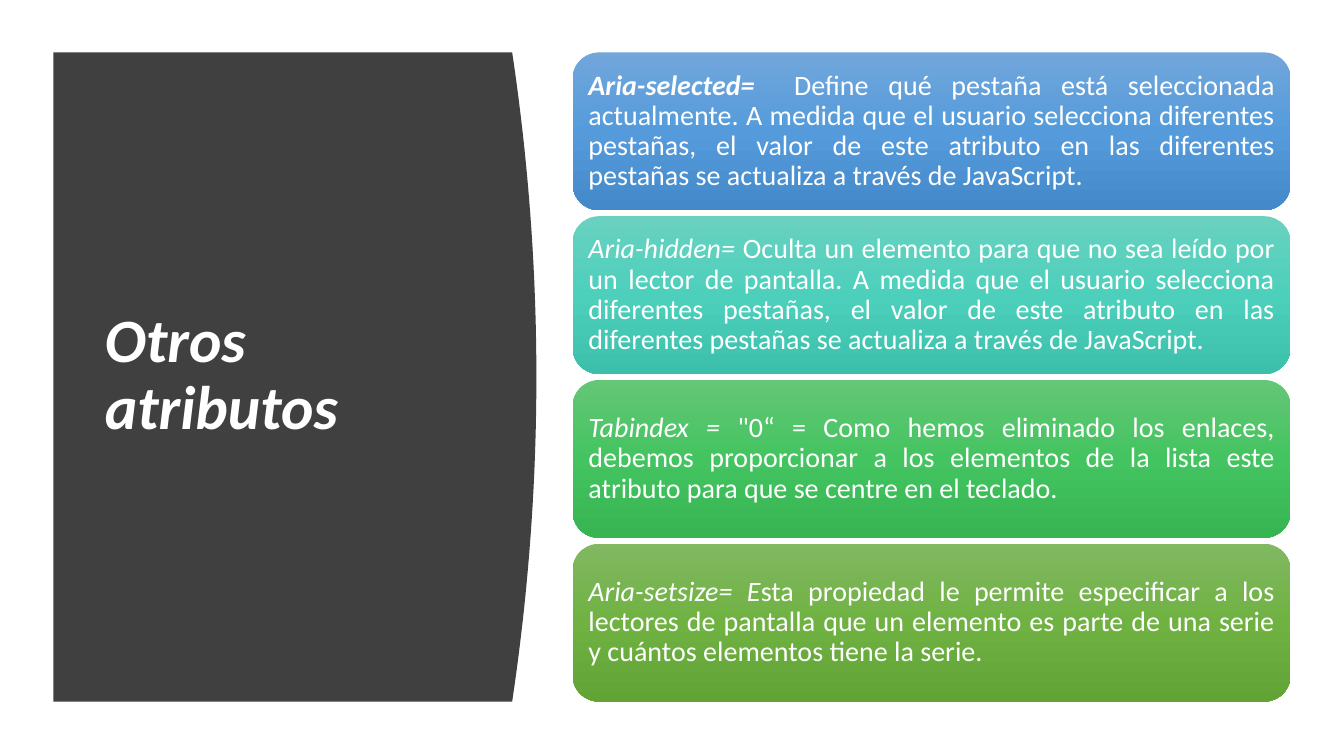
from copy import deepcopy
from dataclasses import dataclass

from pptx import Presentation
from pptx import util as u
from pptx.dml.color import RGBColor
from pptx.enum import shapes, text

TITLE = "Otros atributos"

# lead-in, whether it is bold, explanation, gradient from top to bottom
CARDS = [
    ("Aria-selected=  ", True,
     "Define qué pestaña está seleccionada actualmente. A medida que el usuario "
     "selecciona diferentes pestañas, el valor de este atributo en las diferentes "
     "pestañas se actualiza a través de JavaScript.",
     ("71A6DB", "559BDB", "448ACA")),
    ("Aria-hidden= ", False,
     "Oculta un elemento para que no sea leído por un lector de pantalla. A medida "
     "que el usuario selecciona diferentes pestañas, el valor de este atributo en "
     "las diferentes pestañas se actualiza a través de JavaScript.",
     ("6AD1C0", "4CD0BC", "3CC0AC")),
    ("Tabindex = ", False,
     "\"0“ = Como hemos eliminado los enlaces, debemos proporcionar a los elementos "
     "de la lista este atributo para que se centre en el teclado.",
     ("64C677", "44C460", "36B552")),
    ("Aria-setsize= E", False,
     "sta propiedad le permite especificar a los lectores de pantalla que un "
     "elemento es parte de una serie y cuántos elementos tiene la serie.",
     ("81B861", "6FB242", "62A336")),
]


@dataclass(frozen=True)
class Theme:
    font: str = "Calibri"
    panel: str = "404040"
    ink: str = "FFFFFF"
    title_size: int = 44
    body_size: int = 20


THEME = Theme()
PX = 9144  # 100 px to the inch
SLIDE_WIDTH, SLIDE_HEIGHT = 1333, 750
TOP, BOTTOM = 52, 696
PANEL_LEFT, PANEL_EDGE, PANEL_BULGE = 53, 508, 24
CURVE_STEPS = 40
TITLE_BOX = (94, 111, 374, 524)
CARD_LEFT, CARD_WIDTH, CARD_GAP = 568, 712, 6
CARD_HEIGHT = (BOTTOM - TOP - CARD_GAP * (len(CARDS) - 1)) / len(CARDS)
CARD_INSET = 8


def px(length):
    return u.Emu(round(length * PX))


def style_run(run, size, bold, italic):
    run.font.name = THEME.font
    run.font.size = u.Pt(size)
    run.font.bold = bold
    run.font.italic = italic
    run.font.color.rgb = RGBColor.from_string(THEME.ink)


def fill_gradient(shape, colors):
    """Fill from top to bottom with evenly spaced stops."""
    shape.fill.gradient()
    shape.fill.gradient_angle = 270
    stop_list = shape.fill._fill._gradFill.gsLst
    while len(stop_list) < len(colors):
        stop_list.append(deepcopy(stop_list[0]))
    for index, (stop, color) in enumerate(zip(shape.fill.gradient_stops, colors)):
        stop.position = index / (len(colors) - 1)
        stop.color.rgb = RGBColor.from_string(color)


def add_panel(slide):
    """Draw the dark panel, whose right side is a parabola, behind the title."""
    curve = []
    for step in range(CURVE_STEPS + 1):
        part = step / CURVE_STEPS
        x = PANEL_EDGE + PANEL_BULGE * 4 * part * (1 - part)
        curve.append((px(x), px(TOP + (BOTTOM - TOP) * part)))
    builder = slide.shapes.build_freeform(px(PANEL_LEFT), px(TOP), scale=1.0)
    builder.add_line_segments(curve + [(px(PANEL_LEFT), px(BOTTOM))], close=True)
    panel = builder.convert_to_shape()
    panel.shadow.inherit = False
    panel.fill.solid()
    panel.fill.fore_color.rgb = RGBColor.from_string(THEME.panel)
    panel.line.fill.background()
    slide.shapes._spTree.insert(2, panel._element)


def format_title(title):
    title.left, title.top, title.width, title.height = map(px, TITLE_BOX)
    frame = title.text_frame
    frame.text = TITLE
    frame.word_wrap = True
    frame.auto_size = text.MSO_AUTO_SIZE.NONE
    frame.vertical_anchor = text.MSO_ANCHOR.MIDDLE
    paragraph = frame.paragraphs[0]
    paragraph.alignment = text.PP_ALIGN.LEFT
    paragraph.line_spacing = 0.9
    style_run(paragraph.runs[0], THEME.title_size, True, True)


def add_card(slide, top, lead, lead_bold, explanation, colors):
    card = slide.shapes.add_shape(
        shapes.MSO_SHAPE.ROUNDED_RECTANGLE,
        px(CARD_LEFT), px(top), px(CARD_WIDTH), px(CARD_HEIGHT))
    card.shadow.inherit = False
    card.line.fill.background()
    fill_gradient(card, colors)
    frame = card.text_frame
    frame.word_wrap = True
    frame.vertical_anchor = text.MSO_ANCHOR.MIDDLE
    frame.margin_left = frame.margin_right = px(CARD_INSET)
    frame.margin_top = frame.margin_bottom = px(CARD_INSET)
    paragraph = frame.paragraphs[0]
    paragraph.alignment = text.PP_ALIGN.JUSTIFY
    paragraph.line_spacing = 0.9
    paragraph.text = lead
    style_run(paragraph.runs[0], THEME.body_size, lead_bold, True)
    run = paragraph.add_run()
    run.text = explanation
    style_run(run, THEME.body_size, False, False)


def main():
    presentation = Presentation()
    presentation.slide_width = px(SLIDE_WIDTH)
    presentation.slide_height = px(SLIDE_HEIGHT)
    slide = presentation.slides.add_slide(presentation.slide_layouts[5])
    add_panel(slide)
    format_title(slide.shapes.title)
    for index, card in enumerate(CARDS):
        add_card(slide, TOP + index * (CARD_HEIGHT + CARD_GAP), *card)
    presentation.save("out.pptx")


if __name__ == "__main__":
    main()
